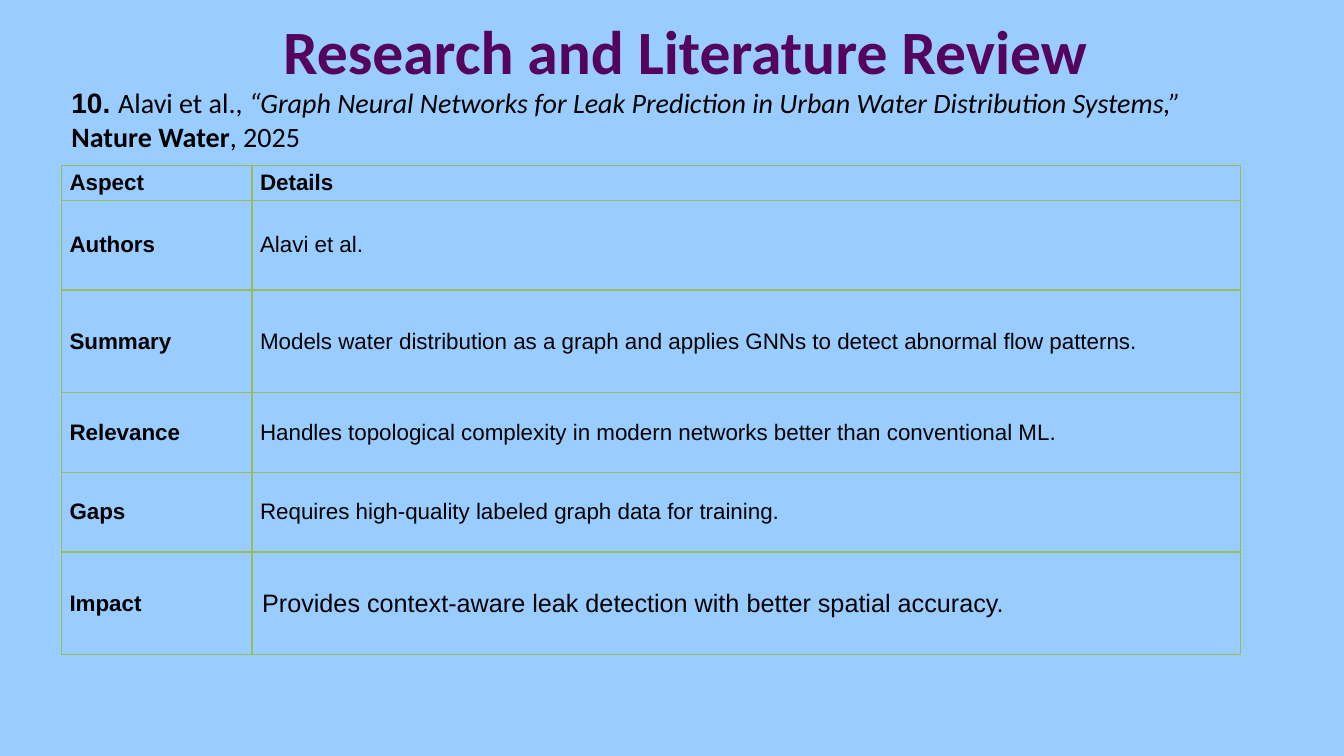
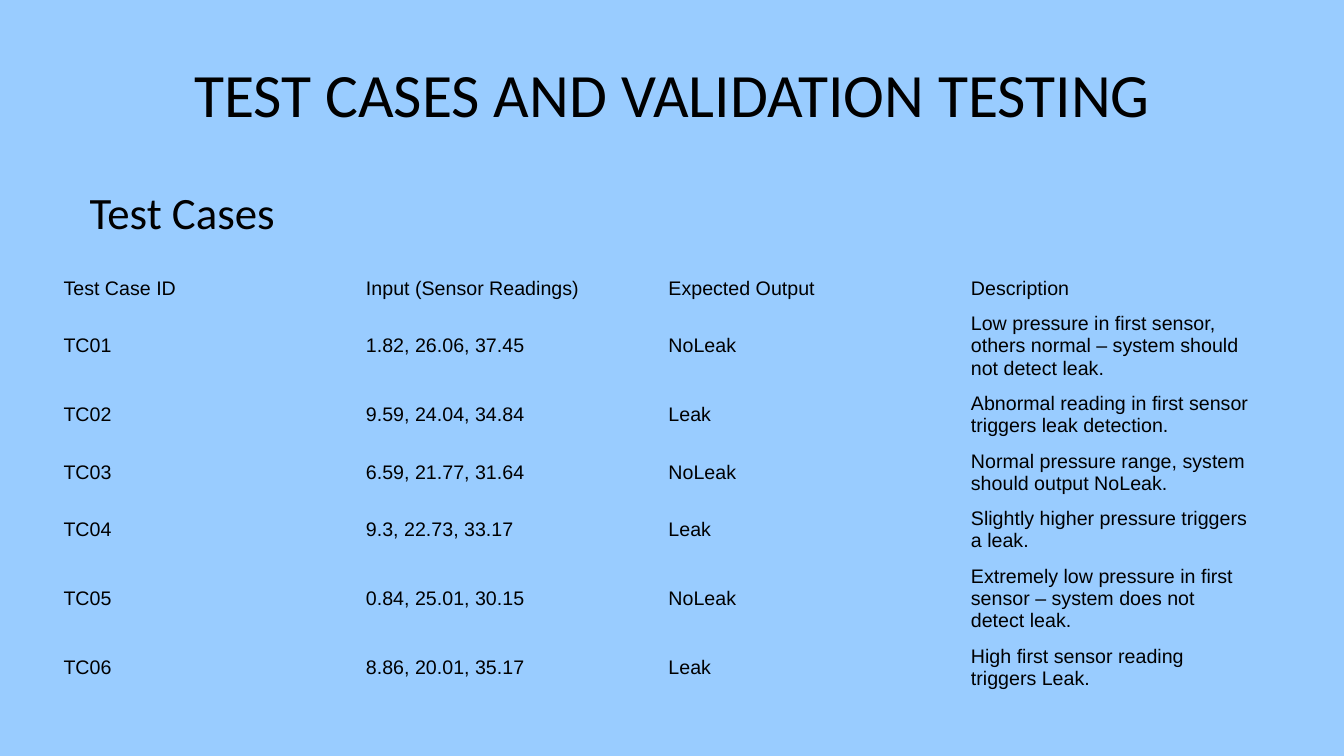
from dataclasses import dataclass

from lxml import etree
from pptx import Presentation
from pptx.dml.color import RGBColor
from pptx.enum import text
from pptx.oxml import ns
from pptx.util import Inches, Pt


@dataclass(frozen=True)
class Theme:
    background: str = "99CCFF"
    ink: str = "000000"
    accent: str = "54045C"
    border: str = "9BBB59"
    heading_font: str = "Calibri"
    table_font: str = "Arial"
    title_size: int = 44
    heading_size: int = 32
    citation_size: int = 20
    impact_size: int = 18
    review_size: int = 16
    case_size: int = 14
    plain_table: str = "{2D5ABB26-0587-4C30-8999-92F81FD0307C}"


theme = Theme()


def write(frame, spans, size, font=theme.heading_font, color=theme.ink, bold=False,
          align=text.PP_ALIGN.LEFT, anchor=text.MSO_ANCHOR.TOP):
    """Fill a frame with one paragraph; spans is a string or (string, font overrides) pairs."""
    frame.word_wrap = True
    frame.vertical_anchor = anchor
    para = frame.paragraphs[0]
    para.alignment = align
    for words, changes in [(spans, {})] if isinstance(spans, str) else spans:
        span = para.add_run()
        span.text = words
        span.font.size = Pt(size)
        span.font.color.rgb = RGBColor.from_string(color)
        for name, value in {"name": font, "bold": bold, **changes}.items():
            setattr(span.font, name, value)


def add_grid(page, left, top, widths, heights, rows, size, bold_labels=False, border=None):
    """Add an unfilled table, optionally with bold labels and cell borders."""
    grid = page.shapes.add_table(len(rows), len(widths), Inches(left), Inches(top),
                                 Inches(sum(widths)), Inches(sum(heights))).table
    grid.first_row = grid.horz_banding = False
    grid._tbl.tblPr.find(ns.qn("a:tableStyleId")).text = theme.plain_table
    for column, width in zip(grid.columns, widths):
        column.width = Inches(width)
    for r, (row, height) in enumerate(zip(rows, heights)):
        grid.rows[r].height = Inches(height)
        for c, words in enumerate(row):
            cell = grid.cell(r, c)
            write(cell.text_frame, words, size, font=theme.table_font,
                  bold=bold_labels and (r == 0 or c == 0))
            cell.vertical_anchor = text.MSO_ANCHOR.MIDDLE
            if border:
                cell.margin_left = cell.margin_right = Inches(0.08)
                cell.margin_top = cell.margin_bottom = Inches(0.04)
                for side in ("lnL", "lnR", "lnT", "lnB"):
                    line = etree.SubElement(cell._tc.get_or_add_tcPr(), ns.qn(f"a:{side}"), w=str(Pt(1)))
                    paint = etree.SubElement(line, ns.qn("a:solidFill"))
                    etree.SubElement(paint, ns.qn("a:srgbClr"), val=border)
            cell.fill.background()
    return grid


deck = Presentation()
deck.slide_width, deck.slide_height = Inches(13.33), Inches(7.5)
backdrop = deck.slide_master.background.fill
backdrop.solid()
backdrop.fore_color.rgb = RGBColor.from_string(theme.background)

pages = []
for title, left, top, look in [
    ("Research and Literature Review", 0.8, -0.13, {"color": theme.accent, "bold": True}),
    ("TEST CASES AND VALIDATION TESTING", 0.67, 0.3, {}),
]:
    page = deck.slides.add_slide(deck.slide_layouts[6])
    box = page.shapes.add_textbox(Inches(left), Inches(top), Inches(12), Inches(1.25))
    write(box.text_frame, title, theme.title_size, align=text.PP_ALIGN.CENTER,
          anchor=text.MSO_ANCHOR.MIDDLE, **look)
    pages.append(page)
review, testing = pages

# Literature review
citation = review.shapes.add_textbox(Inches(0.61), Inches(0.8), Inches(12), Inches(0.8))
write(citation.text_frame, [
    ("10. ", {"name": theme.table_font, "bold": True}),
    ("Alavi et al., ", {}),
    ("“Graph Neural Networks for Leak Prediction in Urban Water Distribution Systems,” ", {"italic": True}),
    ("Nature Water", {"bold": True}),
    (", 2025", {}),
], theme.citation_size)

impact = [("Provides context-aware leak detection with better spatial accuracy.",
           {"size": Pt(theme.impact_size)})]
aspects = [
    ("Aspect", "Details"),
    ("Authors", "Alavi et al."),
    ("Summary", "Models water distribution as a graph and applies GNNs to detect abnormal flow patterns."),
    ("Relevance", "Handles topological complexity in modern networks better than conventional ML."),
    ("Gaps", "Requires high-quality labeled graph data for training."),
    ("Impact", impact),
]
aspect_grid = add_grid(review, 0.61, 1.64, [1.89, 9.8], [0.33, 0.89, 1.02, 0.79, 0.79, 1.02],
                       aspects, theme.review_size, bold_labels=True, border=theme.border)
impact_cell = aspect_grid.cell(len(aspects) - 1, 1)
impact_cell.margin_left = impact_cell.margin_right = Inches(0.1)
impact_cell.margin_top = impact_cell.margin_bottom = Inches(0.05)

# Test cases
heading = testing.shapes.add_textbox(Inches(0.79), Inches(1.78), Inches(11.88), Inches(0.75))
write(heading.text_frame, "Test Cases", theme.heading_size)

cases = [
    ("Test Case ID", "Input (Sensor Readings)", "Expected Output", "Description"),
    ("TC01", "1.82, 26.06, 37.45", "NoLeak",
     "Low pressure in first sensor, others normal – system should not detect leak."),
    ("TC02", "9.59, 24.04, 34.84", "Leak", "Abnormal reading in first sensor triggers leak detection."),
    ("TC03", "6.59, 21.77, 31.64", "NoLeak", "Normal pressure range, system should output NoLeak."),
    ("TC04", "9.3, 22.73, 33.17", "Leak", "Slightly higher pressure triggers a leak."),
    ("TC05", "0.84, 25.01, 30.15", "NoLeak",
     "Extremely low pressure in first sensor – system does not detect leak."),
    ("TC06", "8.86, 20.01, 35.17", "Leak", "High first sensor reading triggers Leak."),
]
add_grid(testing, 0.53, 2.7, [3] * 4, [0.32, 0.75, 0.54, 0.54, 0.54, 0.75, 0.54], cases, theme.case_size)

deck.save("out.pptx")
